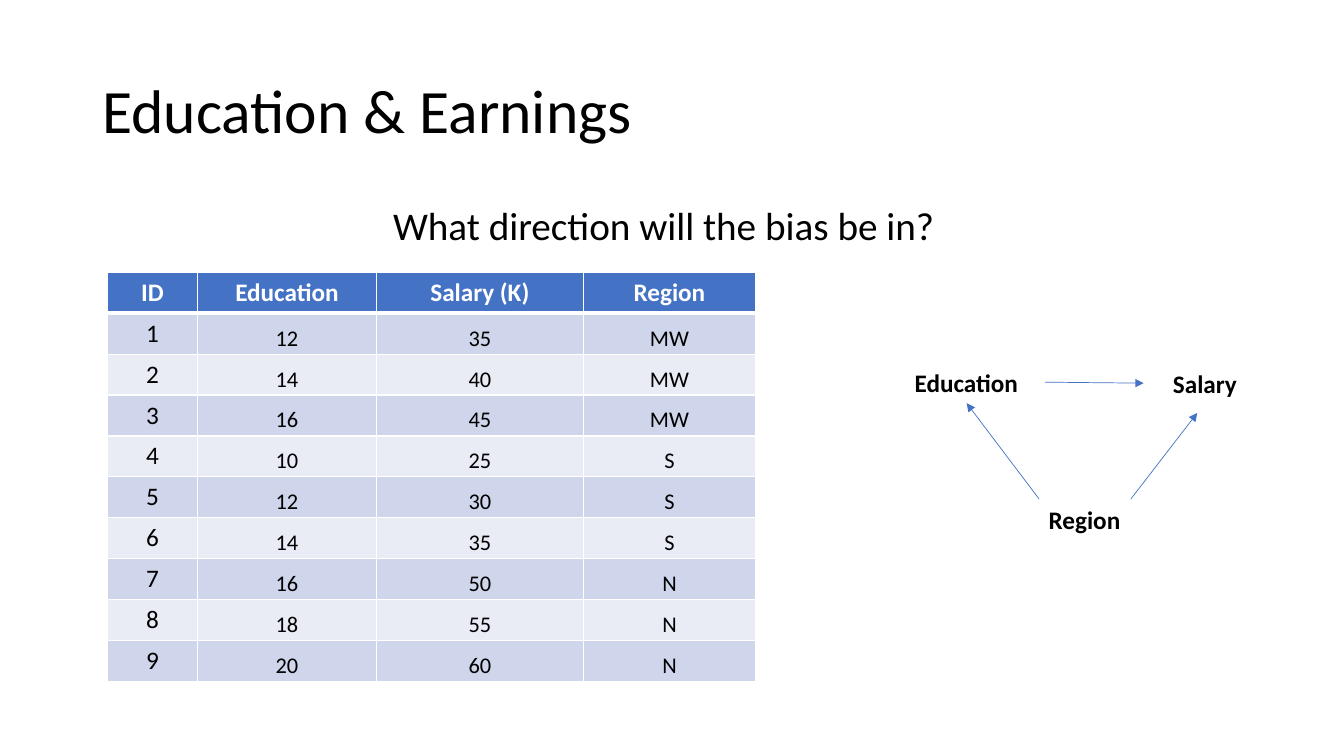
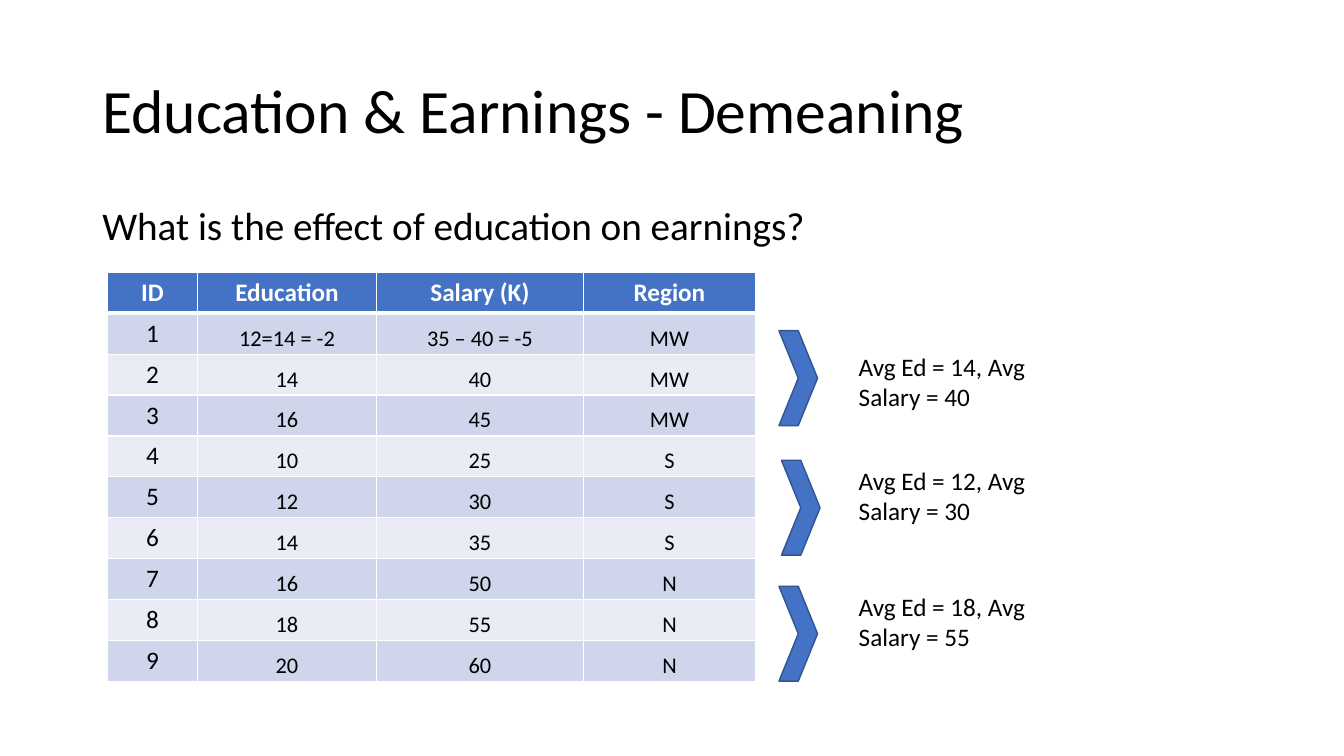
from lxml import etree
from pptx import Presentation
from pptx import util as u
from pptx.dml.color import RGBColor
from pptx.enum import shapes, text
from pptx.oxml.ns import qn

Pt = u.Pt
FONT = "Calibri"
BLACK, WHITE = "000000", "FFFFFF"
BLUE, DARK_BLUE = "4472C4", "325491"
BANDS = ("CFD5EA", "E9EBF5")
LEFT, CENTER = text.PP_ALIGN.LEFT, text.PP_ALIGN.CENTER
TOP, MIDDLE, BOTTOM = (text.MSO_ANCHOR.TOP, text.MSO_ANCHOR.MIDDLE,
                       text.MSO_ANCHOR.BOTTOM)

# Table content and grid
HEADER = ("ID", "Education", "Salary (K)", "Region")
RECORDS = [
    ("12", "35", "MW"), ("14", "40", "MW"), ("16", "45", "MW"),
    ("10", "25", "S"), ("12", "30", "S"), ("14", "35", "S"),
    ("16", "50", "N"), ("18", "55", "N"), ("20", "60", "N"),
]
DEMEANED = [("12=14 = -2", "35 – 40 = -5", "MW")] + RECORDS[1:]
COL_WIDTHS = (64.8, 127.4, 148.3, 122.4)
ROW_HEIGHT = 29.2


def rgb(value):
    return RGBColor.from_string(value)


def write(tf, content, size=18, color=BLACK, bold=False, align=LEFT,
          line_spacing=None, space_before=None):
    p = tf.paragraphs[0]
    p.alignment = align
    if line_spacing:
        p.line_spacing = line_spacing
    if space_before:
        p.space_before = Pt(space_before)
    r = p.add_run()
    r.text = content
    r.font.name = FONT
    r.font.size = Pt(size)
    r.font.bold = bold
    r.font.color.rgb = rgb(color)


def add_text(s, content, x, y, w, h, anchor=TOP, grow=False, **fmt):
    tf = s.shapes.add_textbox(Pt(x), Pt(y), Pt(w), Pt(h)).text_frame
    tf.word_wrap = True
    tf.vertical_anchor = anchor
    if grow:
        tf.auto_size = text.MSO_AUTO_SIZE.SHAPE_TO_FIT_TEXT
    write(tf, content, **fmt)


def set_borders(cell, top=1, bottom=1):
    tc_pr = cell._tc.get_or_add_tcPr()
    widths = {"lnL": 1, "lnR": 1, "lnT": top, "lnB": bottom}
    for i, (tag, width) in enumerate(widths.items()):
        ln = etree.Element(qn("a:" + tag), w=str(int(Pt(width))))
        fill = etree.SubElement(ln, qn("a:solidFill"))
        etree.SubElement(fill, qn("a:srgbClr"), val=WHITE)
        tc_pr.insert(i, ln)


def add_data_table(s, records):
    rows = [HEADER] + [(str(i), *rec) for i, rec in enumerate(records, 1)]
    table = s.shapes.add_table(
        len(rows), len(HEADER), Pt(76.5), Pt(194.6),
        Pt(sum(COL_WIDTHS)), Pt(ROW_HEIGHT * len(rows))).table
    table.horz_banding = False
    for col, width in zip(table.columns, COL_WIDTHS):
        col.width = Pt(width)
    for i, row in enumerate(rows):
        table.rows[i].height = Pt(ROW_HEIGHT)
        head = i == 0
        for j, value in enumerate(row):
            cell = table.cell(i, j)
            cell.fill.solid()
            cell.fill.fore_color.rgb = rgb(BLUE if head else BANDS[(i - 1) % 2])
            set_borders(cell, top=3 if i == 1 else 1, bottom=3 if head else 1)
            is_value = not head and j > 0
            if is_value:
                cell.vertical_anchor = BOTTOM
                cell.margin_left = cell.margin_right = Pt(2.2)
                cell.margin_top = cell.margin_bottom = Pt(1.4)
            write(cell.text_frame, value, size=16 if is_value else 18,
                  color=WHITE if head else BLACK, bold=head, align=CENTER)


def add_arrow(s, x1, y1, x2, y2):
    line = s.shapes.add_connector(shapes.MSO_CONNECTOR.STRAIGHT,
                                  Pt(x1), Pt(y1), Pt(x2), Pt(y2))
    line.line.color.rgb = rgb(BLUE)
    line.line.width = Pt(0.5)
    sp_pr = line._element.spPr
    etree.SubElement(sp_pr.find(qn("a:ln")), qn("a:tailEnd"), type="triangle")
    etree.SubElement(sp_pr, qn("a:effectLst"))


def add_chevron(s, x, y):
    sp = s.shapes.add_shape(shapes.MSO_SHAPE.CHEVRON,
                            Pt(x), Pt(y), Pt(27.6), Pt(67.8))
    sp.shadow.inherit = False
    sp.fill.solid()
    sp.fill.fore_color.rgb = rgb(BLUE)
    sp.line.color.rgb = rgb(DARK_BLUE)
    sp.line.width = Pt(1)


def add_data_slide(prs, title, question, records, align=LEFT, width=828):
    """Title, question and data table, shared by every slide."""
    s = prs.slides.add_slide(prs.slide_layouts[6])
    add_text(s, title, 66, 28.8, 828, 104.4, anchor=MIDDLE, size=44,
             line_spacing=0.9)
    add_text(s, question, 66, 144, width, 40, size=28, align=align,
             line_spacing=0.9, space_before=10)
    add_data_table(s, records)
    return s


def main():
    prs = Presentation()
    prs.slide_width, prs.slide_height = Pt(960), Pt(540)

    # Slide 1: the causal diagram beside the data
    s = add_data_slide(prs, "Education & Earnings",
                       "What direction will the bias be in?", RECORDS,
                       align=CENTER, width=816)
    for label, x, y in (("Education", 646.3, 258.8), ("Salary", 830.8, 259.4),
                        ("Region", 742, 356.7)):
        add_text(s, label, x, y, 88.6, 29.1, grow=True, bold=True)
    for ends in ((746.6, 273, 816.9, 273.7), (807.8, 356.4, 855.2, 295),
                 (742.2, 356.4, 690.5, 288)):
        add_arrow(s, *ends)

    # Slide 2: group averages beside the data
    s = add_data_slide(prs, "Education & Earnings - Demeaning",
                       "What is the effect of education on earnings?", DEMEANED)
    for education, salary, x, chevron_y, label_y in (
            (14, 40, 556.4, 236.2, 247.2), (12, 30, 558.2, 328.8, 328.8),
            (18, 55, 556.4, 418.8, 418.8)):
        add_chevron(s, x, chevron_y)
        add_text(s, f"Avg Ed = {education}, Avg Salary = {salary}",
                 606.3, label_y, 133.2, 50.9, grow=True)

    prs.save("out.pptx")


if __name__ == "__main__":
    main()
